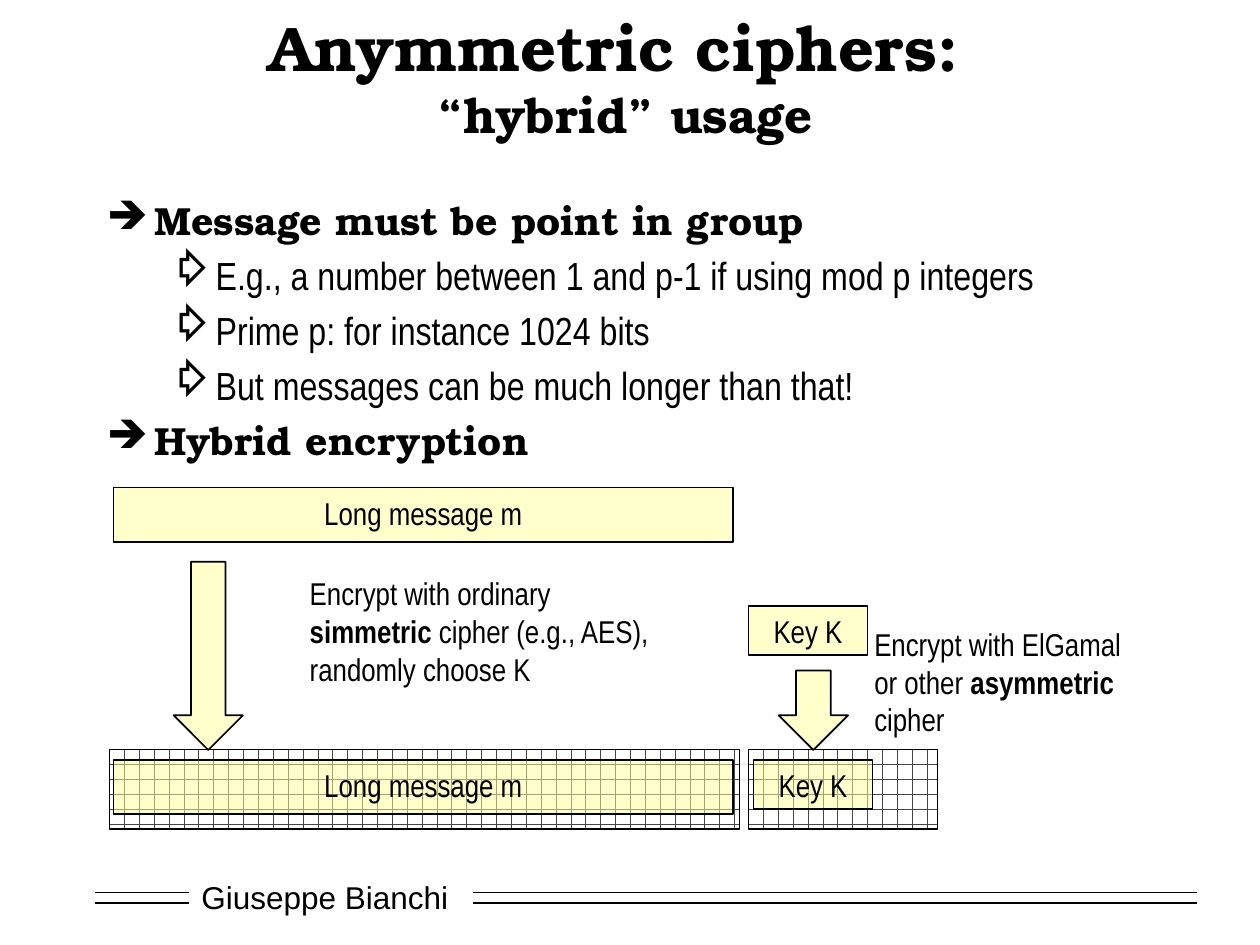
from dataclasses import dataclass

from lxml.etree import SubElement
from pptx import Presentation
from pptx.dml.color import RGBColor
from pptx.enum.dml import MSO_PATTERN
from pptx.enum.shapes import MSO_CONNECTOR, MSO_SHAPE
from pptx.enum.text import MSO_ANCHOR, PP_ALIGN
from pptx.oxml.ns import qn
from pptx.util import Pt


@dataclass(frozen=True)
class Theme:
    ink: RGBColor = RGBColor(0, 0, 0)
    paper: RGBColor = RGBColor(255, 255, 255)
    yellow: RGBColor = RGBColor(0xFF, 0xFF, 0x99)
    brick: RGBColor = RGBColor(0x47, 0x47, 0x47)
    serif: str = "TeX Gyre Bonum"
    narrow: str = "Arial Narrow"
    sans: str = "Arial"
    title_size: float = 36
    subtitle_size: float = 28
    body_size: float = 22.4
    label_size: float = 18


THEME = Theme()


def points(box):
    return [Pt(value) for value in box]


def add_run(paragraph, text, size, font, bold=False):
    for index, line in enumerate(text.split("\n")):
        if index:
            paragraph.add_line_break()
        if line:
            run = paragraph.add_run()
            run.text = line
            run.font.size = Pt(size)
            run.font.name = font
            run.font.bold = bold
            run.font.color.rgb = THEME.ink


def add_text(slide, box, runs, anchor=MSO_ANCHOR.TOP, align=PP_ALIGN.LEFT, wrap=True):
    frame = slide.shapes.add_textbox(*points(box)).text_frame
    frame.word_wrap = wrap
    frame.vertical_anchor = anchor
    paragraph = frame.paragraphs[0]
    paragraph.alignment = align
    for run in runs:
        add_run(paragraph, *run)


def add_note(slide, box, parts):
    runs = [(text, THEME.label_size, THEME.narrow, bold) for text, bold in parts]
    add_text(slide, box, runs, wrap=False)


def add_bullet(paragraph, symbol, indent, hanging):
    properties = paragraph._p.get_or_add_pPr()
    properties.set("marL", str(Pt(indent)))
    properties.set("indent", str(-Pt(hanging)))
    color = SubElement(properties, qn("a:buClr"))
    SubElement(color, qn("a:srgbClr"), val=str(THEME.ink))
    SubElement(properties, qn("a:buChar"), char=symbol)


def add_outline(slide, box, items):
    frame = slide.shapes.add_textbox(*points(box)).text_frame
    frame.word_wrap = True
    for index, (level, text) in enumerate(items):
        paragraph = frame.paragraphs[0] if index == 0 else frame.add_paragraph()
        paragraph.level = level
        if level == 0:
            add_bullet(paragraph, "➔", 27, 27)
            add_run(paragraph, text, THEME.body_size, THEME.serif, True)
        else:
            add_bullet(paragraph, "⇨", 58.5, 22.5)
            add_run(paragraph, text, THEME.body_size, THEME.narrow)
        if index:
            paragraph.space_before = Pt(4.5)


def add_outlined_shape(slide, kind, box, line_width):
    shape = slide.shapes.add_shape(kind, *points(box))
    shape.shadow.inherit = False
    shape.line.color.rgb = THEME.ink
    shape.line.width = Pt(line_width)
    return shape


def add_yellow_shape(slide, kind, box):
    shape = add_outlined_shape(slide, kind, box, 1)
    shape.fill.solid()
    shape.fill.fore_color.rgb = THEME.yellow
    color = shape._element.spPr.find(qn("a:solidFill")).find(qn("a:srgbClr"))
    SubElement(color, qn("a:alpha"), val="50000")
    return shape


def add_block(slide, box, text):
    frame = add_yellow_shape(slide, MSO_SHAPE.RECTANGLE, box).text_frame
    frame.vertical_anchor = MSO_ANCHOR.TOP
    paragraph = frame.paragraphs[0]
    paragraph.alignment = PP_ALIGN.CENTER
    add_run(paragraph, text, THEME.label_size, THEME.narrow)


def add_down_arrow(slide, box):
    arrow = add_yellow_shape(slide, MSO_SHAPE.DOWN_ARROW, box)
    arrow.adjustments[0] = 0.5
    arrow.adjustments[1] = 0.5


def add_envelope(slide, box):
    envelope = add_outlined_shape(slide, MSO_SHAPE.RECTANGLE, box, 0.75)
    envelope.fill.patterned()
    envelope.fill.pattern = MSO_PATTERN.HORIZONTAL_BRICK
    envelope.fill.fore_color.rgb = THEME.brick
    envelope.fill.back_color.rgb = THEME.paper


def add_rule(slide, left, right, top):
    rule = slide.shapes.add_connector(
        MSO_CONNECTOR.STRAIGHT, *points((left, top, right, top)))
    rule.line.color.rgb = THEME.ink
    rule.line.width = Pt(1)
    SubElement(rule._element.spPr, qn("a:effectLst"))


def add_footer(slide):
    add_text(slide, (108, 498.2, 156.2, 28.8),
             [("Giuseppe Bianchi", THEME.label_size, THEME.sans)], MSO_ANCHOR.MIDDLE)
    for top in (510, 516.2):
        for left, right in ((54, 108), (270, 684)):
            add_rule(slide, left, right, top)


def add_diagram(slide):
    add_envelope(slide, (62.6, 428.4, 360, 45.4))
    add_envelope(slide, (427.7, 428.4, 108, 45.4))
    for top in (278.6, 434.2):
        add_block(slide, (64.8, top, 354.2, 31), "Long message m")
    for left, top in ((427.7, 346.3), (430.6, 434.2)):
        add_block(slide, (left, top, 68, 28.1), "Key K")
    for left, top in ((99.2, 321), (445, 383.2)):
        add_down_arrow(slide, (left, top, 39.6, 428.6 - top))
    add_note(slide, (169.9, 324.7, 214.6, 72.7), [
        ("Encrypt with ordinary \n", False),
        ("simmetric ", True),
        ("cipher (e.g., AES), \nrandomly choose K", False)])
    add_note(slide, (492.5, 353.5, 157, 72.7), [
        ("Encrypt with ElGamal\nor other ", False),
        ("asymmetric \n", True),
        ("cipher", False)])


def main():
    presentation = Presentation()
    presentation.slide_width, presentation.slide_height = Pt(720), Pt(540)
    slide = presentation.slides.add_slide(presentation.slide_layouts[6])
    add_footer(slide)
    add_text(slide, (54, 18, 606, 51), [
        ("Anymmetric ciphers: \n", THEME.title_size, THEME.serif, True),
        ("“hybrid” usage", THEME.subtitle_size, THEME.serif, True),
    ], MSO_ANCHOR.MIDDLE, PP_ALIGN.CENTER)
    add_outline(slide, (54, 108.7, 606, 144.7), [
        (0, "Message must be point in group"),
        (1, "E.g., a number between 1 and p-1 if using mod p integers"),
        (1, "Prime p: for instance 1024 bits"),
        (1, "But messages can be much longer than that!"),
        (0, "Hybrid encryption")])
    add_diagram(slide)
    presentation.save("out.pptx")


if __name__ == "__main__":
    main()
